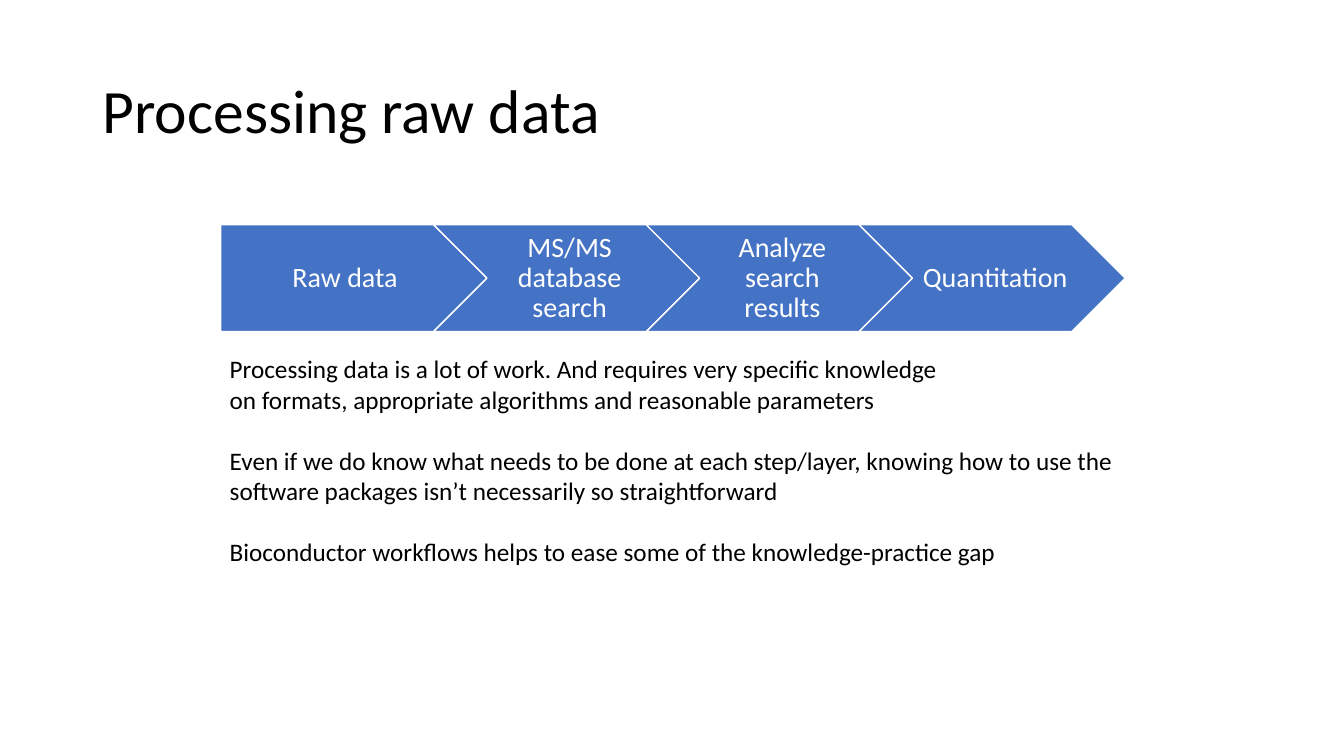
from pptx import Presentation
from pptx.dml.color import RGBColor
from pptx.enum.shapes import MSO_SHAPE
from pptx.enum.text import MSO_ANCHOR, PP_ALIGN
from pptx.util import Inches, Pt

PENTAGON, CHEVRON = MSO_SHAPE.PENTAGON, MSO_SHAPE.CHEVRON
MIDDLE, TOP = MSO_ANCHOR.MIDDLE, MSO_ANCHOR.TOP
CENTER, LEFT = PP_ALIGN.CENTER, PP_ALIGN.LEFT

FONT = "Calibri"
BLACK, WHITE, BLUE = "000000", "FFFFFF", "4472C4"

STEPS = ["Raw data", "MS/MS database search", "Analyze search results", "Quantitation"]
# Each remark with the space before it, in points
REMARKS = [
    ("Processing data is a lot of work. And requires very specific knowledge", 0),
    ("on formats, appropriate algorithms and reasonable parameters", 0),
    ("Even if we do know what needs to be done at each step/layer, knowing how to use "
     "the software packages isn’t necessarily so straightforward", 22),
    ("Bioconductor workflows helps to ease some of the knowledge-practice gap", 22),
]


def color(hex_code):
    return RGBColor.from_string(hex_code)


def style_paragraph(paragraph, text, size, hex_code, align=LEFT, line_spacing=1.0):
    paragraph.text = text
    paragraph.alignment = align
    paragraph.line_spacing = line_spacing
    paragraph.font.name = FONT
    paragraph.font.size = Pt(size)
    paragraph.font.color.rgb = color(hex_code)


def add_text_frame(slide, left, top, width, height, anchor):
    box = slide.shapes.add_textbox(Inches(left), Inches(top), Inches(width), Inches(height))
    frame = box.text_frame
    frame.word_wrap = True
    frame.vertical_anchor = anchor
    return frame


def add_title(slide, left, top, width, height):
    frame = add_text_frame(slide, left, top, width, height, MIDDLE)
    style_paragraph(frame.paragraphs[0], "Processing raw data", 44, BLACK, line_spacing=0.9)


def add_process(slide, left, top, width, height):
    # Arrows overlap by their points, each half as deep as the arrow is high
    overlap = height / 2
    arrow_width = (width + overlap * (len(STEPS) - 1)) / len(STEPS)
    for index, step in enumerate(STEPS):
        arrow = slide.shapes.add_shape(
            CHEVRON if index else PENTAGON,
            Inches(left + index * (arrow_width - overlap)), Inches(top),
            Inches(arrow_width), Inches(height))
        arrow.shadow.inherit = False
        arrow.fill.solid()
        arrow.fill.fore_color.rgb = color(BLUE)
        arrow.line.color.rgb = color(WHITE)
        arrow.line.width = Pt(1)

        frame = arrow.text_frame
        frame.word_wrap = True
        frame.vertical_anchor = MIDDLE
        frame.margin_left = Inches(0.09 if index else 0.12)
        frame.margin_right = Inches(0.03)
        frame.margin_top = frame.margin_bottom = Inches(0.06)
        style_paragraph(frame.paragraphs[0], step, 20, WHITE, CENTER, 0.9)


def add_remarks(slide, left, top, width, height):
    frame = add_text_frame(slide, left, top, width, height, TOP)
    for index, (remark, gap) in enumerate(REMARKS):
        paragraph = frame.add_paragraph() if index else frame.paragraphs[0]
        style_paragraph(paragraph, remark, 18, BLACK)
        if gap:
            paragraph.space_before = Pt(gap)


def main():
    presentation = Presentation()
    presentation.slide_width = Inches(13.33)
    presentation.slide_height = Inches(7.5)
    slide = presentation.slides.add_slide(presentation.slide_layouts[6])

    add_title(slide, 0.92, 0.4, 11.5, 1.45)
    add_process(slide, 2.19, 2.23, 8.97, 1.06)
    add_remarks(slide, 2.18, 3.46, 9, 2.22)

    presentation.save("out.pptx")


if __name__ == "__main__":
    main()
